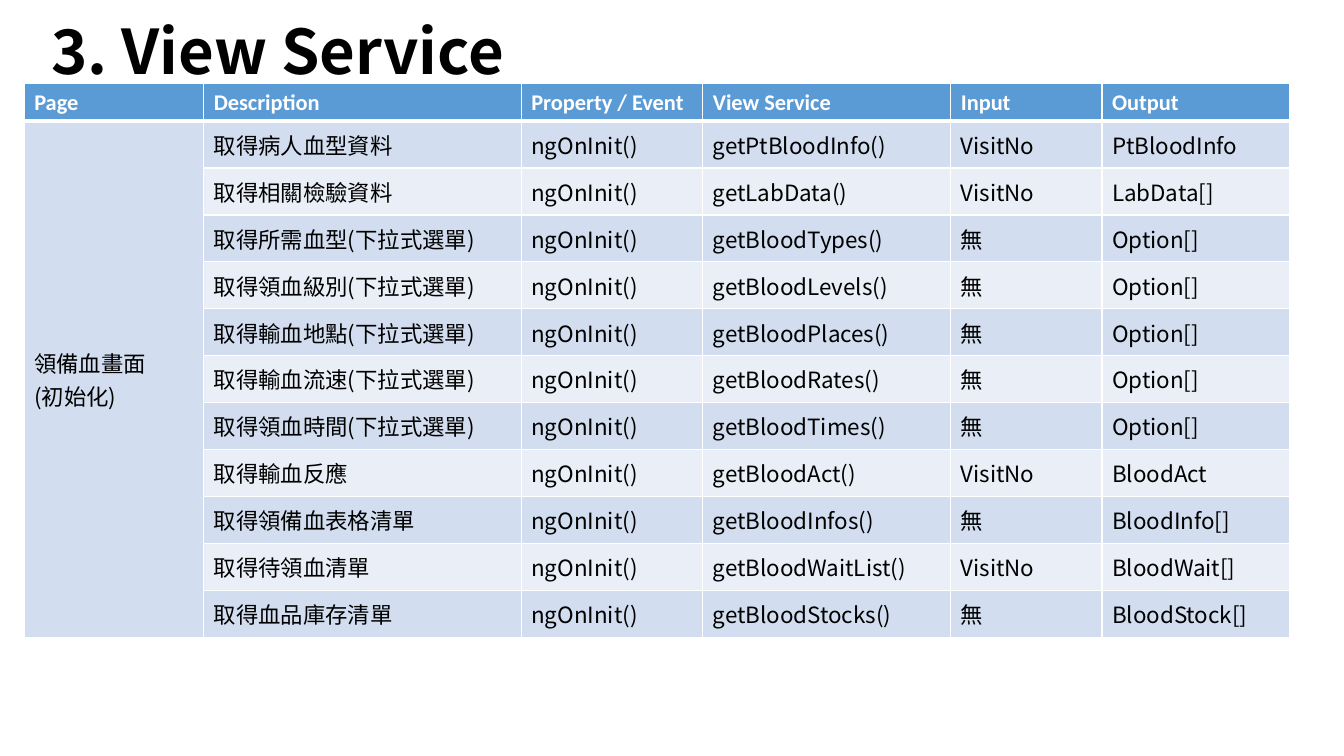
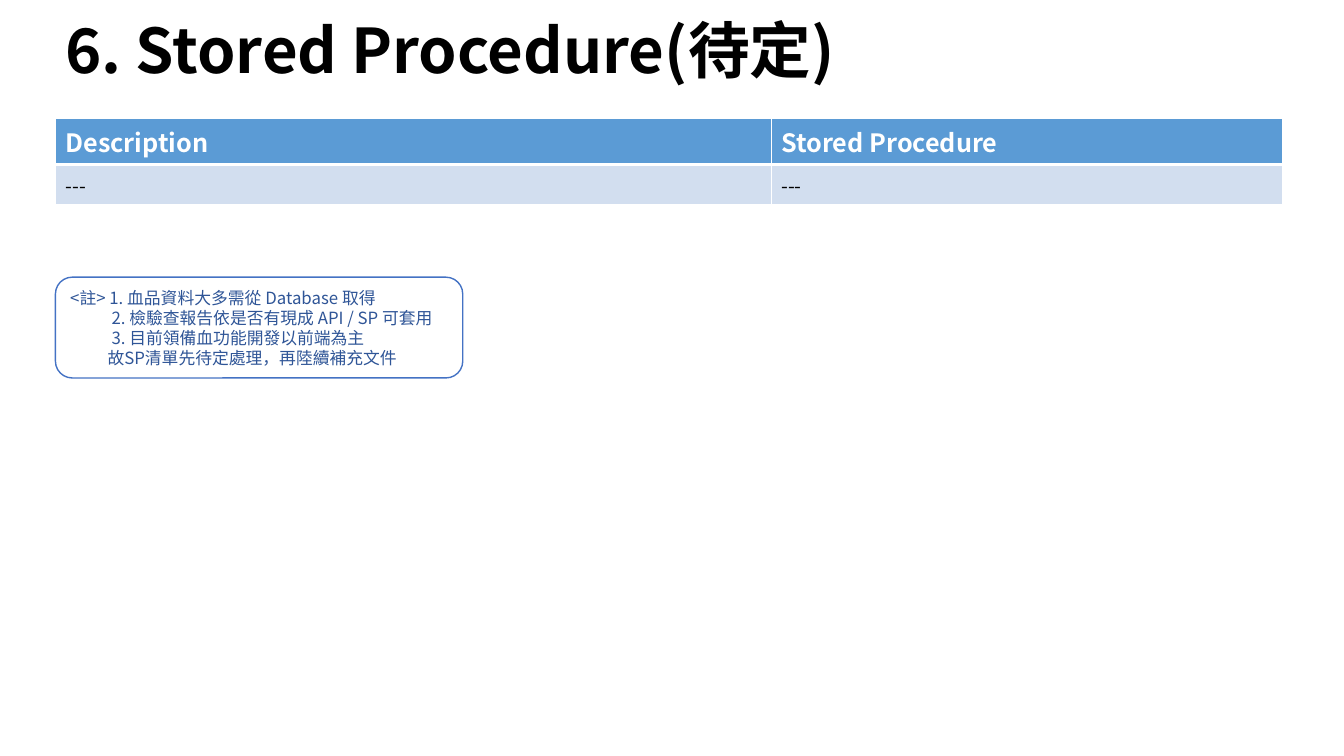
"""Build the View Service and Stored Procedure slides."""
from lxml.etree import SubElement
from pptx import Presentation
from pptx.dml.color import RGBColor
from pptx.enum.shapes import MSO_SHAPE
from pptx.enum.text import MSO_ANCHOR, MSO_AUTO_SIZE, PP_ALIGN
from pptx.oxml.ns import qn
from pptx.util import Inches, Pt

HUES = {"black": "000000", "white": "FFFFFF", "head": "5B9BD5",
        "odd": "D2DEEF", "even": "EAEFF7", "edge": "4472C4", "note": "2F5597"}
FONT = "Noto Sans CJK SC"


def hue(name):
    """Return a palette colour."""
    return RGBColor.from_string(HUES[name])


def write(frame, text, size=16, color="black", bold=False, font=FONT,
          space=1.0, indents=()):
    """Fill a text frame, one paragraph a line."""
    frame.word_wrap = True
    for i, line in enumerate(text.split("\n")):
        para = frame.paragraphs[0] if i == 0 else frame.add_paragraph()
        para.alignment = PP_ALIGN.LEFT
        para.line_spacing = space
        if indents:
            props = para._p.get_or_add_pPr()
            props.set("marL", str(Inches(indents[i])))
            props.set("indent", "0")
        run = para.add_run()
        run.text = line
        run.font.size, run.font.bold, run.font.name = Pt(size), bold, font
        run.font.color.rgb = hue(color)
        SubElement(run._r.get_or_add_rPr(), qn("a:ea"), typeface=FONT)


INIT, VISIT, NONE, LIST = "ngOnInit()", "VisitNo", "無", "Option[]"
PAGES = [
    dict(title="3. View Service", spot=(0.41, -0.1, 9.3, 1.28),
         at=(0.24, 0.83), tall=5.49, top=0.37,
         cols=[1.78, 3.15, 1.8, 2.46, 1.5, 1.86],
         head=dict(size=16, font="Calibri"), size=16, span=True,
         rows=[
             ["Page", "Description", "Property / Event", "View Service", "Input", "Output"],
             ["領備血畫面\n(初始化)", "取得病人血型資料", INIT, "getPtBloodInfo()", VISIT, "PtBloodInfo"],
             ["", "取得相關檢驗資料", INIT, "getLabData()", VISIT, "LabData[]"],
             ["", "取得所需血型(下拉式選單)", INIT, "getBloodTypes()", NONE, LIST],
             ["", "取得領血級別(下拉式選單)", INIT, "getBloodLevels()", NONE, LIST],
             ["", "取得輸血地點(下拉式選單)", INIT, "getBloodPlaces()", NONE, LIST],
             ["", "取得輸血流速(下拉式選單)", INIT, "getBloodRates()", NONE, LIST],
             ["", "取得領血時間(下拉式選單)", INIT, "getBloodTimes()", NONE, LIST],
             ["", "取得輸血反應", INIT, "getBloodAct()", VISIT, "BloodAct"],
             ["", "取得領備血表格清單", INIT, "getBloodInfos()", NONE, "BloodInfo[]"],
             ["", "取得待領血清單", INIT, "getBloodWaitList()", VISIT, "BloodWait[]"],
             ["", "取得血品庫存清單", INIT, "getBloodStocks()", NONE, "BloodStock[]"],
         ]),
    dict(title="6. Stored Procedure(待定)", spot=(0.55, 0.14, 12.17, 0.78),
         at=(0.55, 1.17), tall=0.85, top=0.45, cols=[7.1, 5.07],
         head=dict(size=18), size=14, span=False,
         rows=[["Description", "Stored Procedure"], ["---", "---"]]),
]

deck = Presentation()
deck.slide_width, deck.slide_height = Inches(13.33), Inches(7.5)

for page in PAGES:
    slide = deck.slides.add_slide(deck.slide_layouts[5])
    title = slide.shapes.title
    title.left, title.top, title.width, title.height = map(Inches, page["spot"])
    title.text_frame.auto_size = MSO_AUTO_SIZE.NONE
    title.text_frame.vertical_anchor = MSO_ANCHOR.MIDDLE
    write(title.text_frame, page["title"], size=44, bold=True, space=0.9)

    rows, cols = page["rows"], page["cols"]
    box = map(Inches, (*page["at"], sum(cols), page["tall"]))
    table = slide.shapes.add_table(len(rows), len(cols), *box).table
    for col, wide in zip(table.columns, cols):
        col.width = Inches(wide)
    step = (page["tall"] - page["top"]) / (len(rows) - 1)
    for r, row in enumerate(rows):
        table.rows[r].height = Inches(step if r else page["top"])
        for c, text in enumerate(row):
            cell = table.cell(r, c)
            cell.vertical_anchor = MSO_ANCHOR.MIDDLE
            props = cell._tc.get_or_add_tcPr()
            for side in "LRTB":
                thick = (r, side) in ((0, "B"), (1, "T"))
                line = SubElement(props, qn(f"a:ln{side}"), w=str(Pt(3 if thick else 1)))
                fill = SubElement(line, qn("a:solidFill"))
                SubElement(fill, qn("a:srgbClr"), val=HUES["white"])
            cell.fill.solid()
            cell.fill.fore_color.rgb = hue("head" if r == 0 else "odd" if r % 2 else "even")
            if r == 0:
                write(cell.text_frame, text, color="white", bold=True, **page["head"])
            elif text:
                write(cell.text_frame, text, size=page["size"])
    if page["span"]:
        table.cell(1, 0).merge(table.cell(len(rows) - 1, 0))

note = slide.shapes.add_shape(MSO_SHAPE.ROUNDED_RECTANGLE,
                              *map(Inches, (0.55, 2.75, 4.04, 1)))
note.shadow.inherit = False
note.fill.solid()
note.fill.fore_color.rgb = hue("white")
note.line.color.rgb = hue("edge")
note.line.width = Pt(1)
note.text_frame.vertical_anchor = MSO_ANCHOR.MIDDLE
note.text_frame.margin_right = Inches(0.05)
write(note.text_frame,
      "<註> 1. 血品資料大多需從 Database 取得\n"
      "2. 檢驗查報告依是否有現成 API / SP 可套用\n"
      "3. 目前領備血功能開發以前端為主\n"
      "故SP清單先待定處理，再陸續補充文件",
      size=12, color="note", indents=(0, 0.41, 0.41, 0.37))

deck.save("out.pptx")
